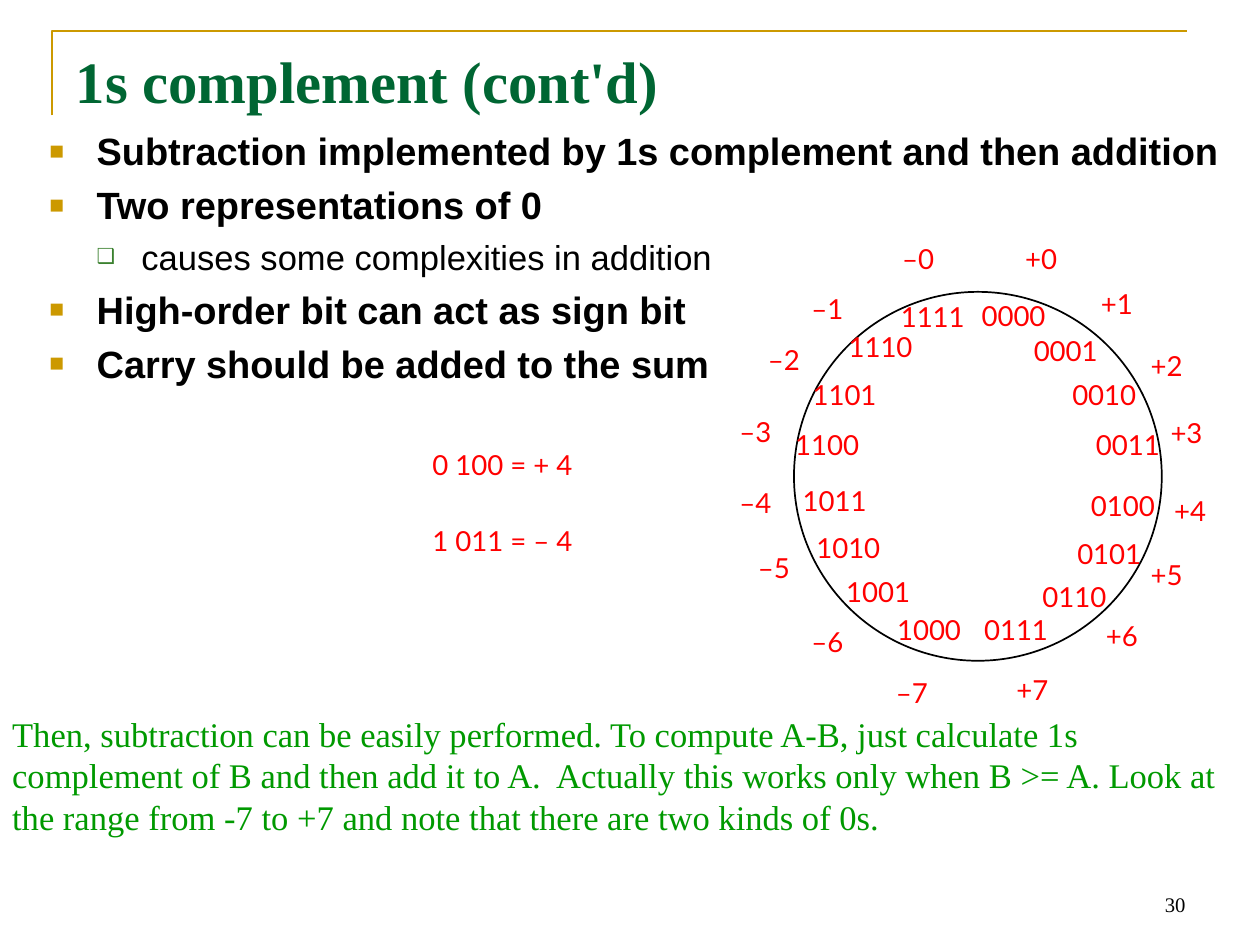
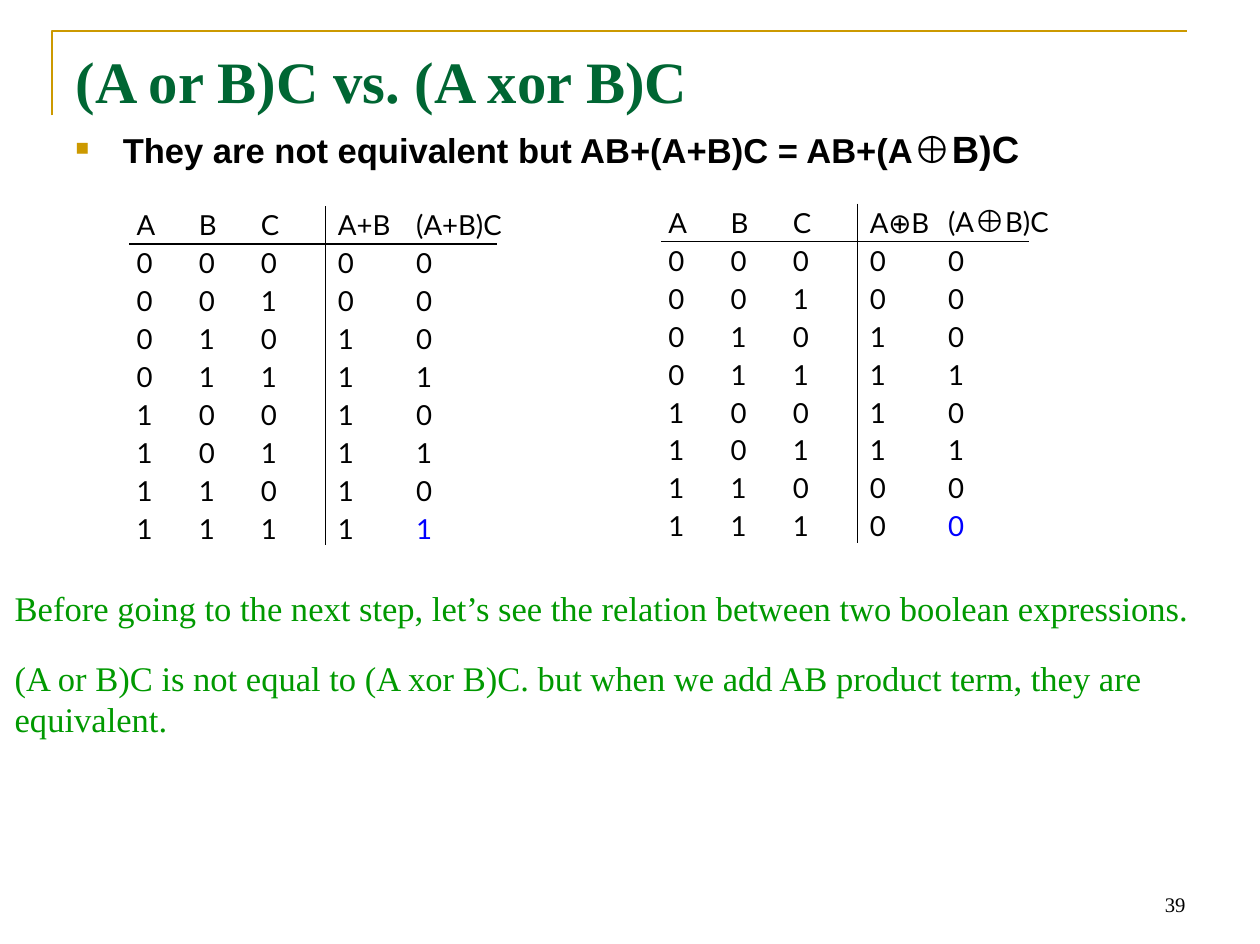
from itertools import product

from lxml import etree
from pptx import Presentation
from pptx.dml.color import RGBColor
from pptx.enum.shapes import MSO_CONNECTOR, MSO_SHAPE
from pptx.enum.text import MSO_ANCHOR, MSO_AUTO_SIZE, PP_ALIGN
from pptx.oxml.ns import qn
from pptx.util import Inches, Pt

TOP, MIDDLE, BOTTOM = MSO_ANCHOR.TOP, MSO_ANCHOR.MIDDLE, MSO_ANCHOR.BOTTOM
LEFT, RIGHT = PP_ALIGN.LEFT, PP_ALIGN.RIGHT
NO_FIT = MSO_AUTO_SIZE.NONE
STRAIGHT = MSO_CONNECTOR.STRAIGHT
OVAL = MSO_SHAPE.OVAL
TITLE_LAYOUT = 5

SERIF, SANS, LABEL = "Times New Roman", "Arial", "Lato"
GOLD, DARK_GREEN, NOTE_GREEN, SUB_GREEN = "CC9900", "006633", "009900", "3B812F"
BLACK, WHITE, RED, BLUE = "000000", "FFFFFF", "FF0000", "0000FF"
FULL_INSET, SMALL_INSET = (0.1, 0.05), (0.02, 0.03)

# Bullets: (level, [(text, size)])
COMPLEMENT_BULLETS = [
    (0, [("Subtraction implemented by 1s complement and then addition", 22)]),
    (0, [("Two representations of 0", 22)]),
    (1, [("causes some complexities in addition", 20)]),
    (0, [("High-order bit can act as sign bit", 22)]),
    (0, [("Carry should be added to the sum", 22)]),
]
XOR_BULLETS = [
    (0, [("They are not equivalent but AB+(A+B)C = AB+(A", 20), ("⊕B)C", 22)]),
]
# Level: (left margin, hanging indent, symbol, colour, percent of text size, bold)
BULLET_LEVELS = [
    (0.38, 0.38, "■", GOLD, 65, True),
    (0.74, 0.36, "❑", SUB_GREEN, 60, False),
]

# Number wheel: code, its left and top, value, its left and top
WHEEL = [
    ("0000", 7.88, 2.45, "+0", 8.23, 1.95),
    ("0001", 8.3, 2.73, "+1", 8.84, 2.31),
    ("0010", 8.61, 3.09, "+2", 9.24, 2.81),
    ("0011", 8.8, 3.49, "+3", 9.4, 3.35),
    ("0100", 8.76, 3.98, "+4", 9.43, 3.98),
    ("0101", 8.65, 4.37, "+5", 9.24, 4.49),
    ("0110", 8.37, 4.71, "+6", 8.88, 4.98),
    ("0111", 7.9, 4.98, "+7", 8.16, 5.42),
    ("1000", 7.2, 4.98, "–7", 7.19, 5.44),
    ("1001", 6.79, 4.67, "–6", 6.51, 5.03),
    ("1010", 6.55, 4.32, "–5", 6.08, 4.44),
    ("1011", 6.44, 3.94, "–4", 5.93, 3.91),
    ("1100", 6.38, 3.49, "–3", 5.93, 3.34),
    ("1101", 6.52, 3.09, "–2", 6.16, 2.76),
    ("1110", 6.81, 2.7, "–1", 6.51, 2.35),
    ("1111", 7.23, 2.46, "–0", 7.24, 1.95),
]
EXAMPLES = ["0 100 = + 4", "1 011 = – 4"]

COMPLEMENT_NOTE = (
    "Then, subtraction can be easily performed. To compute A-B, just calculate "
    "1s complement of B and then add it to A.  Actually this works only when "
    "B >= A. Look at the range from -7 to +7 and note that there are two kinds of 0s."
)
XOR_NOTES = [
    ("Before going to the next step, let’s see the relation between two "
     "boolean expressions.", 4.68, 0.43),
    ("(A or B)C is not equal to (A xor B)C. but when we add AB product term, "
     "they are equivalent.", 5.24, 0.77),
]

# Truth tables: left, top, last two headings as runs (text, size, font), operation
TRUTH_TABLES = [
    (1.04, 1.66, [[("A+B", 16, LABEL)], [("(A+B)C", 16, LABEL)]],
     lambda a, b: a | b),
    (5.32, 1.64, [[("A⊕B", 16, LABEL)],
                  [("(A", 16, LABEL), ("⊕", 18, SANS), ("B)C", 16, LABEL)]],
     lambda a, b: a ^ b),
]
COLUMN_WIDTHS = [0.5, 0.5, 0.62, 0.63, 0.95]
ROW_HEIGHT = 22 / 72
RULE_WIDTH, RULE_HEIGHT, DIVIDER_X = 2.96, 2.73, 1.58


def rgb(color):
    return RGBColor.from_string(color)


def add_run(p, text, size, font, color, bold=False):
    r = p.add_run()
    r.text = text
    r.font.size, r.font.name, r.font.bold = Pt(size), font, bold
    r.font.color.rgb = rgb(color)


def set_frame(tf, inset=FULL_INSET, anchor=TOP):
    tf.word_wrap, tf.auto_size, tf.vertical_anchor = True, NO_FIT, anchor
    tf.margin_left = tf.margin_right = Inches(inset[0])
    tf.margin_top = tf.margin_bottom = Inches(inset[1])


def add_box(slide, x, y, w, h, inset=FULL_INSET, anchor=TOP):
    sp = slide.shapes.add_textbox(Inches(x), Inches(y), Inches(w), Inches(h))
    set_frame(sp.text_frame, inset, anchor)
    return sp


def add_line(slide, x1, y1, x2, y2):
    line = slide.shapes.add_connector(
        STRAIGHT, Inches(x1), Inches(y1), Inches(x2), Inches(y2))
    line.line.color.rgb, line.line.width = rgb(BLACK), Pt(1)
    etree.SubElement(line.element.spPr, qn("a:effectLst"))


def new_slide(prs, title, number):
    """Add a slide with the corner frame, title and page number."""
    slide = prs.slides.add_slide(prs.slide_layouts[TITLE_LAYOUT])
    corner = slide.shapes.build_freeform(Inches(0.42), Inches(0.93))
    corner.add_line_segments(
        [(Inches(0.42), Inches(0.25)), (Inches(9.55), Inches(0.25))], close=False)
    sp = corner.convert_to_shape()
    sp.shadow.inherit = False
    sp.fill.background()
    sp.line.color.rgb, sp.line.width = rgb(GOLD), Pt(1.5)

    sp = slide.shapes.title
    sp.left, sp.top = Inches(0.51), Inches(0.31)
    sp.width, sp.height = Inches(9.12), Inches(1.26)
    set_frame(sp.text_frame)
    p = sp.text_frame.paragraphs[0]
    p.alignment = LEFT
    add_run(p, title, 34, SERIF, DARK_GREEN, True)

    p = add_box(slide, 7.27, 6.92, 2.37, 0.51, anchor=BOTTOM).text_frame.paragraphs[0]
    p.alignment = RIGHT
    add_run(p, str(number), 12, SERIF, BLACK)
    return slide


def set_bullet(p, margin, hang, symbol, color, percent):
    pPr = p._p.get_or_add_pPr()
    pPr.set("marL", str(Inches(margin)))
    pPr.set("indent", str(-Inches(hang)))
    bu_color = etree.SubElement(pPr, qn("a:buClr"))
    etree.SubElement(bu_color, qn("a:srgbClr"), val=color)
    etree.SubElement(pPr, qn("a:buSzPct"), val=str(percent * 1000))
    etree.SubElement(pPr, qn("a:buFont"), typeface=SANS)
    etree.SubElement(pPr, qn("a:buChar"), char=symbol)


def add_bullets(slide, bullets, x, y, w, h):
    tf = add_box(slide, x, y, w, h).text_frame
    for i, (level, runs) in enumerate(bullets):
        p = tf.add_paragraph() if i else tf.paragraphs[0]
        p.level = level
        p.space_before = Pt(5)
        *bullet, bold = BULLET_LEVELS[level]
        set_bullet(p, *bullet)
        for text, size in runs:
            add_run(p, text, size, SANS, BLACK, bold)


def add_note(slide, text, x, y, h):
    sp = add_box(slide, x, y, 10.14, h)
    sp.fill.solid()
    sp.fill.fore_color.rgb = rgb(WHITE)
    add_run(sp.text_frame.paragraphs[0], text, 20, SERIF, NOTE_GREEN)


def add_label(slide, text, x, y, w, h, spacing):
    p = add_box(slide, x, y, w, h, SMALL_INSET).text_frame.paragraphs[0]
    p.line_spacing = Pt(spacing)
    add_run(p, text, 16, LABEL, RED)


def add_wheel(slide):
    sp = slide.shapes.add_shape(
        OVAL, Inches(6.39), Inches(2.35), Inches(2.96), Inches(2.97))
    sp.shadow.inherit = False
    sp.fill.solid()
    sp.fill.fore_color.rgb = rgb(WHITE)
    sp.line.color.rgb, sp.line.width = rgb(BLACK), Pt(1)
    for code, code_x, code_y, value, value_x, value_y in WHEEL:
        add_label(slide, code, code_x, code_y, 0.7, 0.33, 13.9)
        add_label(slide, value, value_x, value_y, 0.45, 0.4, 17)


def add_examples(slide):
    tf = add_box(slide, 3.46, 3.54, 1.72, 1.08, SMALL_INSET).text_frame
    for i, text in enumerate(EXAMPLES):
        p = tf.add_paragraph() if i else tf.paragraphs[0]
        p.line_spacing = Pt(22)
        p.space_before = Pt(22 * i)
        add_run(p, text, 16, LABEL, RED)


def add_truth_table(slide, x, y, headings, operation):
    """Work out every row of operation(A, B) and C and rule off the inputs."""
    rows = [[[(name, 16, LABEL)] for name in "ABC"] + headings]
    for a, b, c in product((0, 1), repeat=3):
        mixed = operation(a, b)
        rows.append([[(str(v), 16, LABEL)] for v in (a, b, c, mixed, mixed & c)])

    frame = slide.shapes.add_table(
        len(rows), len(COLUMN_WIDTHS), Inches(x), Inches(y),
        Inches(sum(COLUMN_WIDTHS)), Inches(ROW_HEIGHT * len(rows)))
    table = frame.table
    table.first_row = table.horz_banding = False
    for column, width in zip(table.columns, COLUMN_WIDTHS):
        column.width = Inches(width)
    last = (len(rows) - 1, len(COLUMN_WIDTHS) - 1)
    for i, row in enumerate(rows):
        table.rows[i].height = Inches(ROW_HEIGHT)
        for j, runs in enumerate(row):
            cell = table.cell(i, j)
            cell.fill.background()
            cell.vertical_anchor = MIDDLE
            cell.margin_left = Inches(0.06)
            cell.margin_right = cell.margin_top = cell.margin_bottom = 0
            p = cell.text_frame.paragraphs[0]
            p.line_spacing = Pt(19)
            for text, size, font in runs:
                add_run(p, text, size, font, BLUE if (i, j) == last else BLACK)

    add_line(slide, x, y + ROW_HEIGHT, x + RULE_WIDTH, y + ROW_HEIGHT)
    add_line(slide, x + DIVIDER_X, y, x + DIVIDER_X, y + RULE_HEIGHT)


def main():
    prs = Presentation()
    prs.slide_width, prs.slide_height = Inches(10.14), Inches(7.6)

    slide = new_slide(prs, "1s complement (cont'd)", 30)
    add_wheel(slide)
    add_examples(slide)
    add_note(slide, COMPLEMENT_NOTE, 0, 5.69, 1.1)
    add_bullets(slide, COMPLEMENT_BULLETS, 0.3, 0.98, 9.84, 4.89)

    slide = new_slide(prs, "(A or B)C vs. (A xor B)C", 39)
    add_bullets(slide, XOR_BULLETS, 0.51, 0.96, 9.12, 0.6)
    for text, y, h in XOR_NOTES:
        add_note(slide, text, 0.02, y, h)
    for truth_table in TRUTH_TABLES:
        add_truth_table(slide, *truth_table)

    prs.save("out.pptx")


if __name__ == "__main__":
    main()
